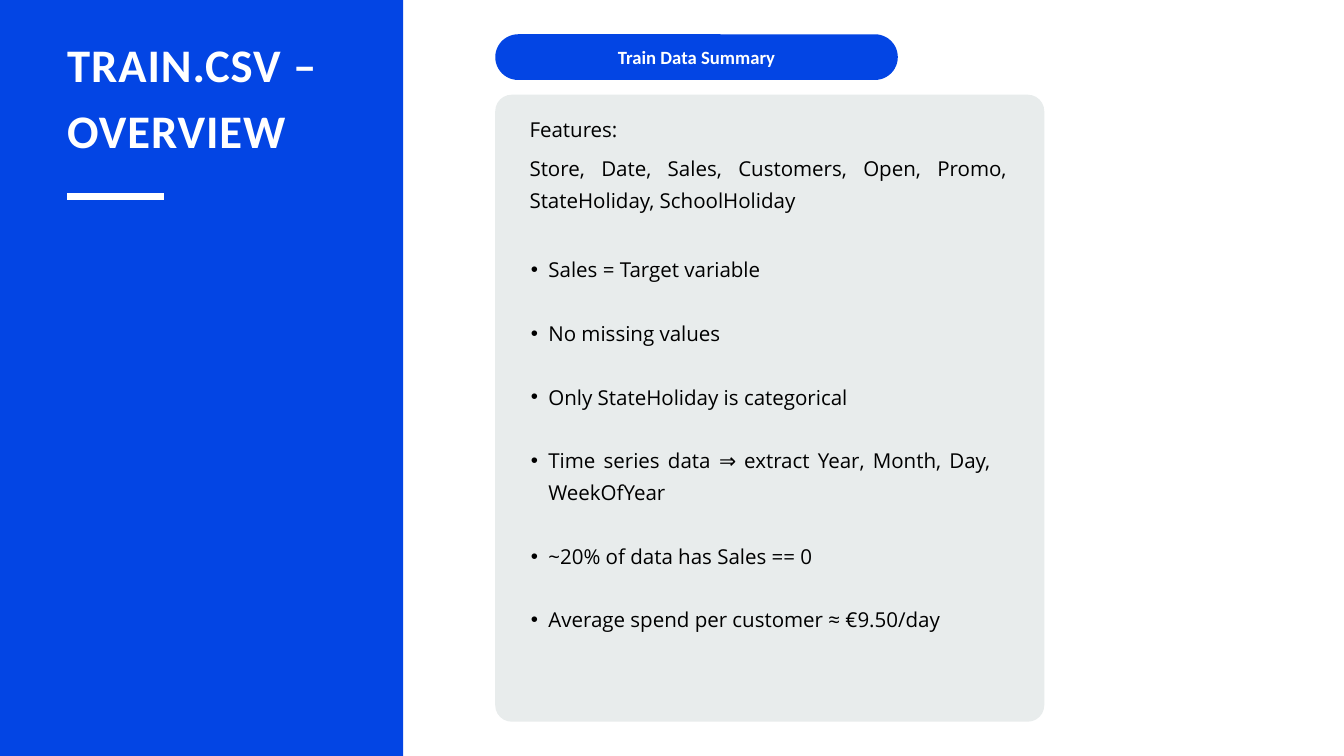
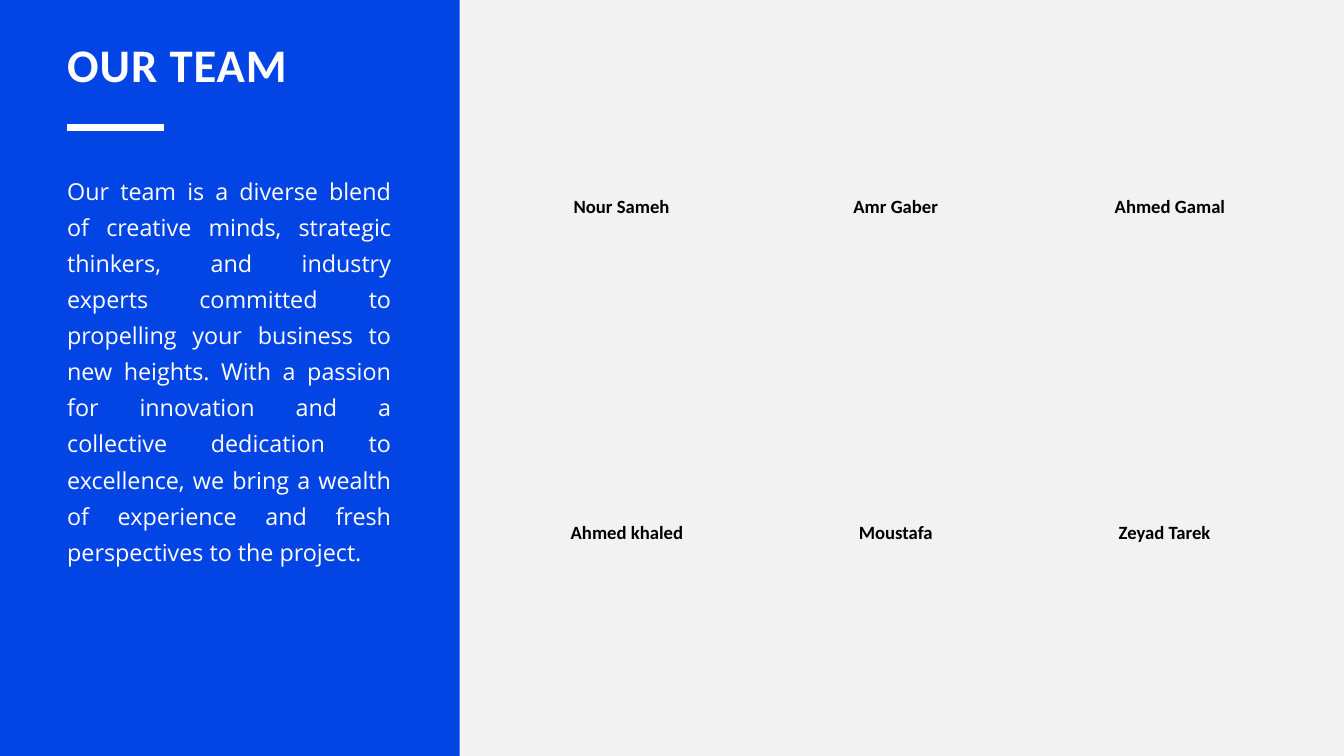
from lxml.etree import SubElement
from pptx import Presentation
from pptx.dml.color import RGBColor
from pptx.enum.shapes import MSO_CONNECTOR, MSO_SHAPE
from pptx.enum.text import MSO_ANCHOR, MSO_AUTO_SIZE, PP_ALIGN
from pptx.oxml.ns import qn
from pptx.util import Inches, Pt

COLORS = {
    "blue": "0345E4",
    "white": "FFFFFF",
    "light": "F2F2F2",
    "card": "E8ECEC",
    "black": "000000",
}
HEADING_FONT = "Calibri"
BODY_FONT = "Open Sans"

SLIDE_WIDTH, SLIDE_HEIGHT = Inches(20), Inches(11.25)
COLUMNS = 20
ROWS = 11.25
MARGIN = 1
TITLE_TOP = 0.4
RULE_WIDTH = 1.44

CARD_LEFT = 7.37
CARD_TEXT_LEFT = 7.88
CARD_TEXT_WIDTH = 7.1
NAME_WIDTH = 3.06
NAME_HEIGHT = 0.37

FINDINGS = [
    "Sales = Target variable",
    "No missing values",
    "Only StateHoliday is categorical",
    "Time series data ⇒ extract Year, Month, Day, WeekOfYear",
    "~20% of data has Sales == 0",
    "Average spend per customer ≈ €9.50/day",
]
TEAM_TEXT = (
    "Our team is a diverse blend of creative minds, strategic thinkers, and "
    "industry experts committed to propelling your business to new heights. "
    "With a passion for innovation and a collective dedication to excellence, "
    "we bring a wealth of experience and fresh perspectives to the project."
)
# Each row of names: top, left of the first name, distance between names.
TEAM_ROWS = [
    (2.85, 7.72, 4.08, ["Nour Sameh", "Amr Gaber", "Ahmed Gamal"]),
    (7.69, 7.8, 4, ["Ahmed khaled", "Moustafa", "Zeyad Tarek"]),
]


def across(columns):
    return round(SLIDE_WIDTH * columns / COLUMNS)


def down(rows):
    return round(SLIDE_HEIGHT * rows / ROWS)


def box(left, top, width, height):
    return across(left), down(top), across(width), down(height)


def color(name):
    return RGBColor.from_string(COLORS[name])


def place(shape, left, top, width, height):
    shape.left, shape.top, shape.width, shape.height = box(left, top, width, height)


def prepare_frame(shape, anchor=MSO_ANCHOR.TOP, inset=0):
    frame = shape.text_frame
    frame.word_wrap = True
    frame.auto_size = MSO_AUTO_SIZE.NONE
    frame.vertical_anchor = anchor
    frame.margin_left = frame.margin_right = Inches(inset)
    frame.margin_top = frame.margin_bottom = Inches(inset)
    return frame


def write(paragraph, text, size, spacing, text_color, font=BODY_FONT,
          bold=False, align=PP_ALIGN.JUSTIFY, space_before=0):
    paragraph.alignment = align
    paragraph.line_spacing = Pt(spacing)
    paragraph.space_before = Pt(space_before)
    run = paragraph.add_run()
    run.text = text
    run.font.name = font
    run.font.size = Pt(size)
    run.font.bold = bold
    run.font.color.rgb = color(text_color)
    return run


def set_bullet(paragraph, character=None):
    """Give the paragraph a hanging bullet, or remove the inherited one."""
    properties = paragraph._p.get_or_add_pPr()
    properties.set("marL", str(Inches(0.52 if character else 0)))
    properties.set("indent", str(Inches(-0.26 if character else 0)))
    if character:
        SubElement(properties, qn("a:buFont")).set("typeface", "Arial")
        SubElement(properties, qn("a:buChar")).set("char", character)
    else:
        SubElement(properties, qn("a:buNone"))


def add_panel(slide, preset, area, fill, radius=None):
    panel = slide.shapes.add_shape(preset, *box(*area))
    panel.shadow.inherit = False
    panel.fill.solid()
    panel.fill.fore_color.rgb = color(fill)
    panel.line.fill.background()
    if radius is not None:
        panel.adjustments[0] = radius
    return panel


def add_rule(slide, top):
    rule = slide.shapes.add_connector(
        MSO_CONNECTOR.STRAIGHT, across(MARGIN), down(top),
        across(MARGIN + RULE_WIDTH), down(top))
    rule.line.color.rgb = color("white")
    rule.line.width = Pt(7.5)
    SubElement(rule._element.spPr, qn("a:effectLst"))


def add_text(slide, area, text, **style):
    text_box = slide.shapes.add_textbox(*box(*area))
    write(prepare_frame(text_box).paragraphs[0], text, **style)


def add_banded_slide(presentation, background, band_width, title,
                     title_width, title_height, rule_top):
    """Start a slide with the blue side band, its title and the short rule."""
    slide = presentation.slides.add_slide(presentation.slide_layouts[1])
    slide.background.fill.solid()
    slide.background.fill.fore_color.rgb = color(background)

    band = add_panel(slide, MSO_SHAPE.RECTANGLE, (0, 0, band_width, ROWS), "blue")
    slide.shapes._spTree.insert(2, band._element)

    place(slide.shapes.title, MARGIN, TITLE_TOP, title_width, title_height)
    run = write(prepare_frame(slide.shapes.title).paragraphs[0], title, 50, 70,
                "white", HEADING_FONT, True, PP_ALIGN.LEFT)
    run._r.get_or_add_rPr().set("spc", "100")
    add_rule(slide, rule_top)
    return slide


def add_findings(slide):
    body = slide.placeholders[1]
    place(body, CARD_TEXT_LEFT - 0.24, 3.72, CARD_TEXT_WIDTH, 6.07)
    frame = prepare_frame(body)
    for index, finding in enumerate(FINDINGS):
        paragraph = frame.add_paragraph() if index else frame.paragraphs[0]
        paragraph.level = 1
        set_bullet(paragraph, "•")
        write(paragraph, finding, 22, 34.1, "black",
              space_before=34.1 if index else 0)


def add_overview_slide(presentation):
    slide = add_banded_slide(presentation, "white", 6, "TRAIN.CSV – OVERVIEW",
                             5.23, 1.9, 2.92)
    heading = add_panel(slide, MSO_SHAPE.ROUNDED_RECTANGLE,
                        (CARD_LEFT, 0.51, 5.99, 0.68), "blue", 0.5)
    frame = prepare_frame(heading, MSO_ANCHOR.MIDDLE, 0.06)
    frame.margin_bottom = Inches(0.11)
    write(frame.paragraphs[0], "Train Data Summary", 20, 28, "white",
          HEADING_FONT, True, PP_ALIGN.CENTER)

    card = add_panel(slide, MSO_SHAPE.ROUNDED_RECTANGLE,
                     (CARD_LEFT, 1.41, 8.17, 9.33), "card", 0.03)
    slide.shapes._spTree.insert(3, card._element)
    features = [
        (1.64, 0.45, "Features:"),
        (2.22, 0.91, "Store, Date, Sales, Customers, Open, Promo, "
                     "StateHoliday, SchoolHoliday"),
    ]
    for top, height, text in features:
        add_text(slide, (CARD_TEXT_LEFT, top, CARD_TEXT_WIDTH, height), text,
                 size=22, spacing=34.1, text_color="black")
    add_findings(slide)


def add_team_slide(presentation):
    slide = add_banded_slide(presentation, "light", 6.84, "OUR TEAM", 5, 0.93, 1.9)
    body = slide.placeholders[1]
    place(body, MARGIN, 2.51, 4.82, 5.82)
    paragraph = prepare_frame(body).paragraphs[0]
    set_bullet(paragraph)
    write(paragraph, TEAM_TEXT, 25, 38.7, "white")

    for top, first_left, pitch, names in TEAM_ROWS:
        for column, name in enumerate(names):
            add_text(slide, (first_left + column * pitch, top, NAME_WIDTH, NAME_HEIGHT),
                     name, size=20, spacing=28, text_color="black",
                     font=HEADING_FONT, bold=True, align=PP_ALIGN.CENTER)


def main():
    presentation = Presentation()
    presentation.slide_width = SLIDE_WIDTH
    presentation.slide_height = SLIDE_HEIGHT
    add_overview_slide(presentation)
    add_team_slide(presentation)
    presentation.save("out.pptx")


if __name__ == "__main__":
    main()
